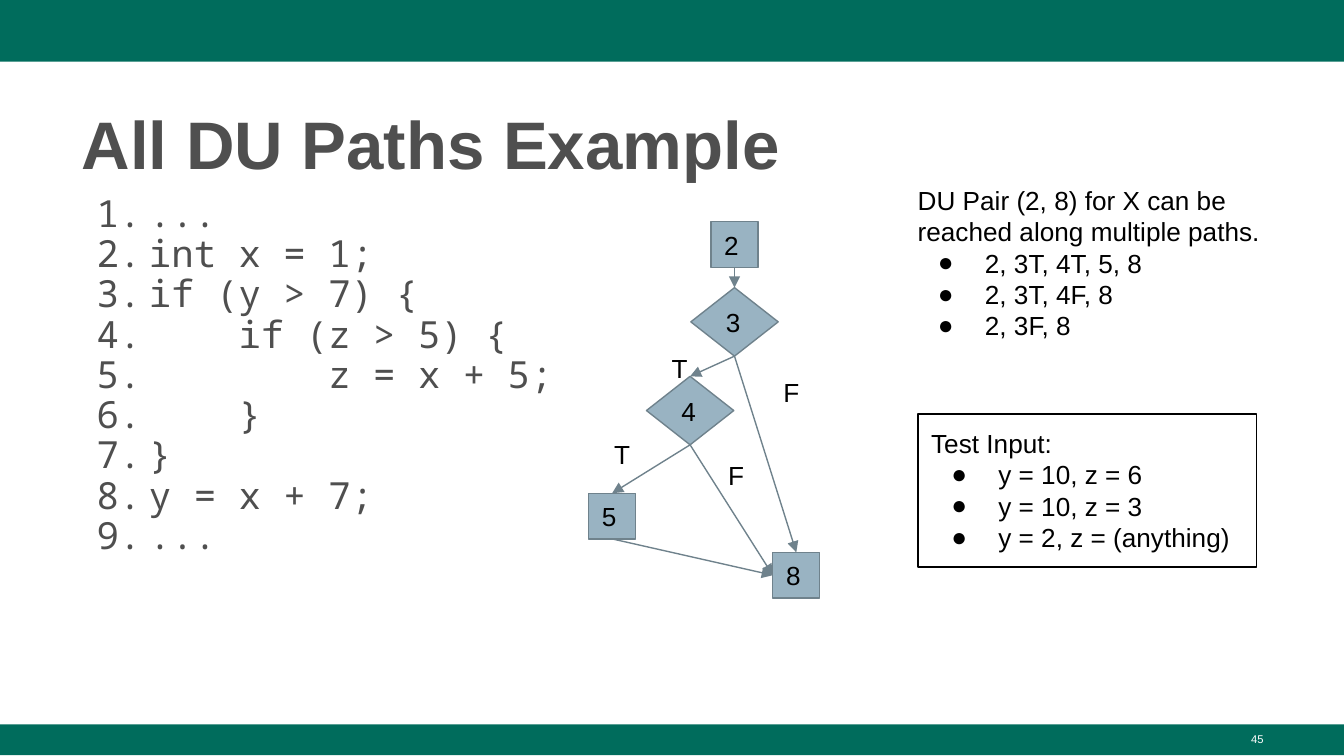
from lxml import etree
from pptx import Presentation
from pptx import util as u
from pptx.dml.color import RGBColor
from pptx.enum import shapes, text
from pptx.oxml.ns import qn

SCALE = 9144  # EMU per px, 100 px to the inch
COLORS = {
    "band": "006C5C", "heading": "4F4F4F", "node": "99B3C2",
    "edge": "6F828C", "ink": "000000", "paper": "FFFFFF",
}
SHAPE = shapes.MSO_SHAPE
TOP, LEFT, BOTTOM = 0, 1, 2

CODE = [
    "...",
    "int x = 1;",
    "if (y > 7) {",
    "    if (z > 5) {",
    "        z = x + 5;",
    "    }",
    "}",
    "y = x + 7;",
    "...",
]
SQUARE, DIAMOND = (SHAPE.RECTANGLE, 35, 34), (SHAPE.DIAMOND, 65, 51)
NODES = {  # name: (kind, left, top)
    "2": (SQUARE, 529, 165),
    "3": (DIAMOND, 514, 214),
    "4": (DIAMOND, 481, 280),
    "5": (SQUARE, 438, 367),
    "8": (SQUARE, 575, 411),
}
EDGES = [  # from, to, side reached
    ("2", "3", TOP), ("3", "4", TOP), ("3", "8", TOP),
    ("4", "5", TOP), ("4", "8", LEFT), ("5", "8", LEFT),
]
BRANCHES = [  # label, left, top, width
    ("T", 490, 252, 23), ("F", 573, 270, 23),
    ("T", 447, 316, 35), ("F", 532, 332, 23),
]


def px(value):
    return u.Emu(value * SCALE)


def rgb(name):
    return RGBColor.from_string(COLORS[name])


def add_bullet(para, bullet, color, indent, hanging):
    """Give a paragraph a bullet character, or a number if bullet is None."""
    props = para._p.get_or_add_pPr()
    props.set("marL", str(px(indent)))
    props.set("indent", str(px(-hanging)))
    tint = etree.SubElement(props, qn("a:buClr"))
    etree.SubElement(tint, qn("a:srgbClr"), val=COLORS[color])
    if bullet:
        etree.SubElement(props, qn("a:buFont"), typeface="Arial")
        etree.SubElement(props, qn("a:buChar"), char=bullet)
    else:
        etree.SubElement(props, qn("a:buAutoNum"), type="arabicPeriod")


def write(box, lines, size=14, font="Arial", color="ink", bold=False,
          align=text.PP_ALIGN.LEFT, anchor=text.MSO_ANCHOR.TOP, inset=10,
          spacing=None, listed_from=None, bullet="●", hanging=35):
    """Fill a box with lines; those from index listed_from on form a list."""
    frame = box.text_frame
    frame.word_wrap = True
    frame.vertical_anchor = anchor
    frame.margin_left = frame.margin_right = px(10)
    frame.margin_top = frame.margin_bottom = px(inset)
    for index, line in enumerate(lines):
        para = frame.add_paragraph() if index else frame.paragraphs[0]
        if listed_from is not None and index >= listed_from:
            add_bullet(para, bullet, color, 50, hanging)
        para.alignment = align
        if spacing:
            para.line_spacing = spacing
        span = para.add_run()
        span.text = line
        span.font.name = font
        span.font.size = u.Pt(size)
        span.font.bold = bold
        span.font.color.rgb = rgb(color)


def add_text(page, left, top, width, height, lines, **style):
    box = page.shapes.add_textbox(px(left), px(top), px(width), px(height))
    write(box, lines, **style)


def add_box(page, kind, left, top, width, height, fill=None, line=None):
    box = page.shapes.add_shape(kind, px(left), px(top), px(width), px(height))
    box.shadow.inherit = False
    if fill:
        box.fill.solid()
        box.fill.fore_color.rgb = rgb(fill)
    else:
        box.fill.background()
    if line:
        box.line.color.rgb = rgb(line)
        box.line.width = u.Pt(0.75)
    else:
        box.line.fill.background()
    return box


def add_node(page, name, kind, left, top):
    shape, width, height = kind
    box = add_box(page, shape, left, top, width, height, "node", "edge")
    write(box, [name], anchor=text.MSO_ANCHOR.MIDDLE)
    return box


def add_edge(page, source, target, side):
    edge = page.shapes.add_connector(shapes.MSO_CONNECTOR.STRAIGHT, 0, 0, 0, 0)
    edge.begin_connect(source, BOTTOM)
    edge.end_connect(target, side)
    edge.line.color.rgb = rgb("edge")
    edge.line.width = u.Pt(0.75)
    etree.SubElement(edge.line._get_or_add_ln(), qn("a:tailEnd"), type="triangle")
    etree.SubElement(edge._element.spPr, qn("a:effectLst"))


def main():
    deck = Presentation()
    deck.slide_width = px(1000)
    deck.slide_height = px(1000) * 9 // 16
    page = deck.slides.add_slide(deck.slide_layouts[6])

    # Bands and page number
    add_box(page, SHAPE.RECTANGLE, 0, 0, 1000, 46, "band")
    add_box(page, SHAPE.RECTANGLE, 0, 539, 1000, 23, "band")
    add_text(page, 717, 540, 233, 23, ["45"], size=6, color="paper",
             align=text.PP_ALIGN.RIGHT, inset=5)

    # Title and numbered code
    add_text(page, 51, 67, 899, 73, ["All DU Paths Example"], size=36,
             color="heading", bold=True, inset=5, spacing=1.08,
             anchor=text.MSO_ANCHOR.MIDDLE)
    add_text(page, 51, 140, 425, 381, CODE, size=20, font="Noto Sans Mono",
             color="heading", inset=5, spacing=0.9, listed_from=0,
             bullet=None, hanging=39)

    # Control-flow graph
    nodes = {name: add_node(page, name, *place) for name, place in NODES.items()}
    for source, target, side in EDGES:
        add_edge(page, nodes[source], nodes[target], side)
    for label, left, top, width in BRANCHES:
        add_text(page, left, top, width, 44, [label])

    # Paths and test inputs
    add_text(page, 673, 127, 277, 138, [
        "DU Pair (2, 8) for X can be reached along multiple paths.",
        "2, 3T, 4T, 5, 8", "2, 3T, 4F, 8", "2, 3F, 8"], listed_from=1)
    tests = add_box(page, SHAPE.RECTANGLE, 683, 308, 252, 114, line="ink")
    write(tests, ["Test Input:", "y = 10, z = 6", "y = 10, z = 3",
                  "y = 2, z = (anything)"], listed_from=1)

    deck.save("out.pptx")


if __name__ == "__main__":
    main()
